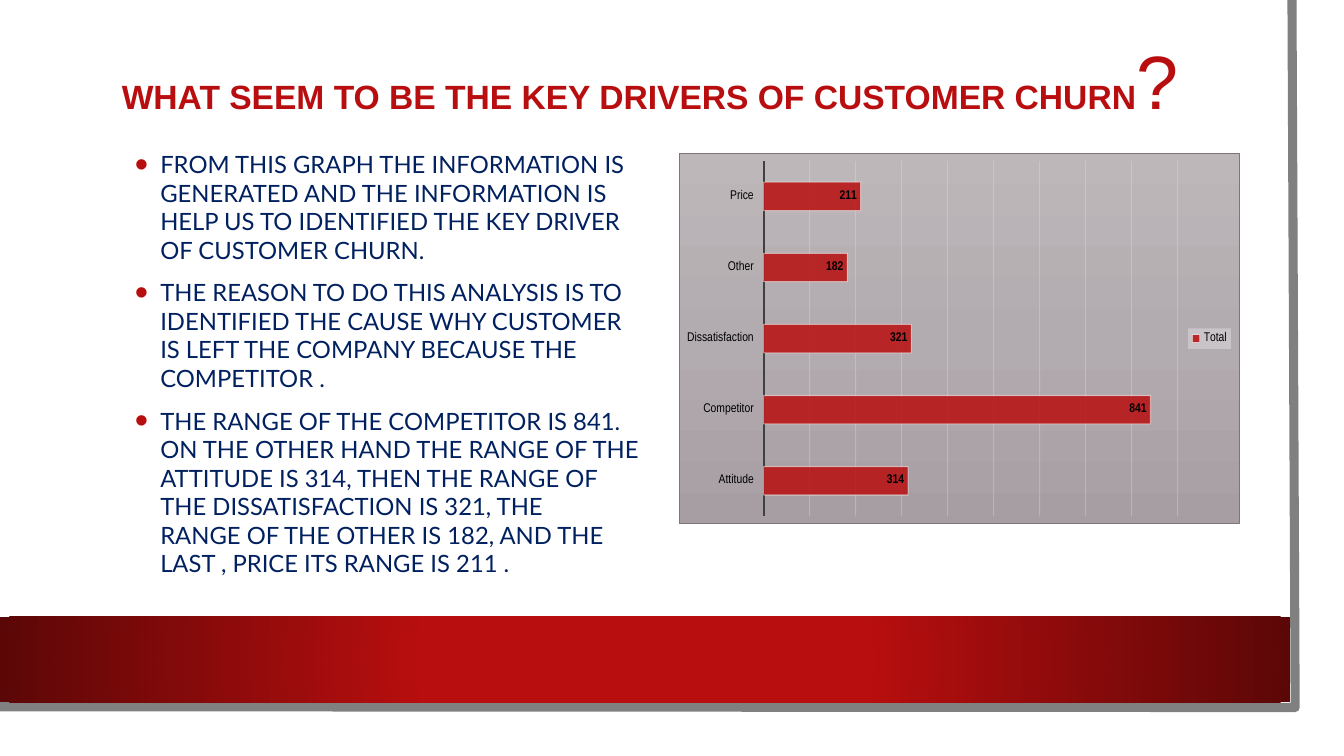
from lxml import etree
from pptx import Presentation
from pptx.chart.data import CategoryChartData
from pptx.dml.color import RGBColor
from pptx.enum.chart import XL_CHART_TYPE as ChartType
from pptx.enum.chart import XL_LABEL_POSITION as LabelPosition
from pptx.enum.chart import XL_LEGEND_POSITION as LegendPosition
from pptx.enum.chart import XL_TICK_LABEL_POSITION as TickLabels
from pptx.enum.chart import XL_TICK_MARK as TickMark
from pptx.enum.shapes import MSO_SHAPE as Preset
from pptx.enum.text import MSO_ANCHOR as Anchor
from pptx.oxml import parse_xml
from pptx.oxml.ns import qn
from pptx.util import Cm, Pt

COLORS = {
    "white": "FFFFFF", "red": "B80E0F", "dark_red": "5C0707", "edge": "808080",
    "navy": "002060", "black": "000000", "axis": "404040", "grid": "F2F2F2",
    "chart_top": "BDB7BA", "chart_middle": "B2ABAF", "chart_bottom": "A79EA3",
    "chart_border": "80737A",
}
TITLE = [("WHAT SEEM TO BE THE KEY DRIVERS OF CUSTOMER CHURN", 24, True), ("?", 54, False)]
POINTS = [
    ["FROM THIS GRAPH THE INFORMATION IS", "GENERATED AND THE INFORMATION IS",
     "HELP US TO IDENTIFIED THE KEY DRIVER", "OF CUSTOMER CHURN."],
    ["THE REASON TO DO THIS ANALYSIS IS TO", "IDENTIFIED THE CAUSE WHY CUSTOMER",
     "IS LEFT THE COMPANY BECAUSE THE", "COMPETITOR ."],
    ["THE RANGE OF THE COMPETITOR IS 841.", "ON THE OTHER HAND THE RANGE OF THE",
     "ATTITUDE IS 314, THEN THE RANGE OF", "THE DISSATISFACTION IS 321, THE",
     "RANGE OF THE OTHER IS 182, AND THE", "LAST , PRICE ITS RANGE IS 211 ."],
]
REASONS = {"Attitude": 314, "Competitor": 841, "Dissatisfaction": 321, "Other": 182, "Price": 211}
SERIES_NAME = "Total"

# left, top, width, height in centimetres
PAGE = (0, 0, 33.27, 18.47)
BAND = (0, 15.54, 32.51, 2.16)
TITLE_BOX = (2.82, 0.84, 27.84, 2.62)
BODY_BOX = (3.15, 3.35, 13.59, 11.63)
CHART_BOX = (17.12, 3.86, 14.12, 9.35)
EDGE = [(32.56, 0), (32.64, 17.83), (-0.08, 17.81)]
PLOT_SHARE = {"x": 0.15, "y": 0.02, "w": 0.74, "h": 0.96}

DRAWING = 'xmlns:a="http://schemas.openxmlformats.org/drawingml/2006/main"'
CHART = 'xmlns:c="http://schemas.openxmlformats.org/drawingml/2006/chart"'


def color(name):
    return RGBColor.from_string(COLORS[name])


def place(box):
    return [Cm(length) for length in box]


def gradient(stops, direction):
    marks = "".join(f'<a:gs pos="{share * 1000}"><a:srgbClr val="{COLORS[name]}"/></a:gs>'
                    for share, name in stops)
    return f'<a:gradFill {DRAWING} rotWithShape="1"><a:gsLst>{marks}</a:gsLst>{direction}</a:gradFill>'


def set_alpha(fill_parent, percent):
    """Make the first solid colour below the element partly transparent."""
    solid = next(fill_parent.iter(qn("a:srgbClr")))
    etree.SubElement(solid, qn("a:alpha")).set("val", str(percent * 1000))


def style_font(font, name, size, color_name, bold=False):
    font.name, font.size, font.bold = name, Pt(size), bold
    font.color.rgb = color(color_name)


def add_rectangle(slide, box):
    shape = slide.shapes.add_shape(Preset.RECTANGLE, *place(box))
    shape.shadow.inherit = False
    shape.line.fill.background()
    shape.fill.solid()
    shape.fill.fore_color.rgb = color("white")
    return shape


def add_frame(slide, box):
    frame = slide.shapes.add_textbox(*place(box)).text_frame
    frame.word_wrap = True
    frame.vertical_anchor = Anchor.MIDDLE
    return frame


def add_backdrop(slide):
    add_rectangle(slide, PAGE)
    corners = [(Cm(x), Cm(y)) for x, y in EDGE]
    builder = slide.shapes.build_freeform(*corners[0])
    builder.add_line_segments(corners[1:], close=False)
    edge = builder.convert_to_shape()
    edge.shadow.inherit = False
    edge.fill.background()
    edge.line.color.rgb = color("edge")
    edge.line.width = Pt(6.5)
    band = add_rectangle(slide, BAND)
    center = '<a:path path="circle"><a:fillToRect l="50000" t="50000" r="50000" b="50000"/></a:path>'
    solid = band.fill._xPr.find(qn("a:solidFill"))
    solid.getparent().replace(solid, parse_xml(gradient([(34, "red"), (100, "dark_red")], center)))


def add_title(slide):
    para = add_frame(slide, TITLE_BOX).paragraphs[0]
    para.line_spacing = 0.9
    for text, size, bold in TITLE:
        span = para.add_run()
        span.text = text
        style_font(span.font, "Arial", size, "red", bold)


def add_bullet(para):
    properties = para._p.get_or_add_pPr()
    properties.set("marL", str(Cm(0.64)))
    properties.set("indent", str(Cm(-0.64)))
    for xml in (f'<a:buClr {DRAWING}><a:srgbClr val="{COLORS["red"]}"/></a:buClr>',
                f'<a:buSzPct {DRAWING} val="160000"/>',
                f'<a:buFont {DRAWING} typeface="Arial"/>',
                f'<a:buChar {DRAWING} char="•"/>'):
        properties.append(parse_xml(xml))


def add_points(slide):
    frame = add_frame(slide, BODY_BOX)
    for index, lines in enumerate(POINTS):
        para = frame.add_paragraph() if index else frame.paragraphs[0]
        para.space_before = Pt(10)
        add_bullet(para)
        for number, line in enumerate(lines):
            if number:
                para.add_line_break()
            span = para.add_run()
            span.text = line
            style_font(span.font, "Lato", 17, "navy")


def style_axes(chart):
    categories, values = chart.category_axis, chart.value_axis
    categories.major_tick_mark = categories.minor_tick_mark = TickMark.NONE
    categories.tick_label_position = TickLabels.LOW
    categories.format.line.color.rgb = color("axis")
    categories.format.line.width = Pt(1.5)
    style_font(categories.tick_labels.font, "Arial Narrow", 9, "black")
    values.visible = False
    values.minimum_scale, values.maximum_scale, values.major_unit = 0, 900, 100
    values.has_major_gridlines = True
    grid = values.major_gridlines.format.line
    grid.color.rgb = color("grid")
    grid.width = Pt(0.75)
    set_alpha(values.major_gridlines._xAx.find(qn("c:majorGridlines")), 25)


def style_bars(plot):
    plot.gap_width, plot.overlap, plot.vary_by_categories = 150, 100, False
    bars = plot.series[0]
    bars.format.fill.solid()
    bars.format.fill.fore_color.rgb = color("red")
    bars.format.line.color.rgb = color("white")
    bars.format.line.width = Pt(0.75)
    properties = bars._element.find(qn("c:spPr"))
    set_alpha(properties.find(qn("a:solidFill")), 85)
    set_alpha(properties.find(qn("a:ln")), 50)
    labels = bars.data_labels
    labels.show_value = True
    labels.position = LabelPosition.INSIDE_END
    style_font(labels.font, "Arial Narrow", 9, "black", True)


def style_legend(chart):
    chart.has_legend = True
    legend = chart.legend
    legend.position, legend.include_in_layout = LegendPosition.RIGHT, False
    style_font(legend.font, "Arial Narrow", 9, "black")
    panel = parse_xml(f'<c:spPr {CHART} {DRAWING}><a:solidFill><a:srgbClr val="{COLORS["white"]}"/>'
                      '</a:solidFill></c:spPr>')
    set_alpha(panel, 30)
    legend._element.find(qn("c:txPr")).addprevious(panel)


def style_chart_area(chart):
    """Give the chart its gradient and border, and fix the place of the plot in it."""
    stops = [(0, "chart_top"), (50, "chart_middle"), (100, "chart_bottom")]
    fill = gradient(stops, '<a:lin ang="5400000" scaled="0"/>')
    border = (f'<a:ln w="{Pt(0.5)}"><a:solidFill><a:srgbClr val="{COLORS["chart_border"]}"/>'
              '</a:solidFill></a:ln>')
    root = chart._chartSpace
    root.find(qn("c:chart")).addnext(parse_xml(f"<c:spPr {CHART} {DRAWING}>{fill}{border}</c:spPr>"))
    area = next(root.iter(qn("c:plotArea")))
    for layout in area.findall(qn("c:layout")):
        area.remove(layout)
    shares = "".join(f'<c:{side} val="{share}"/>' for side, share in PLOT_SHARE.items())
    area.insert(0, parse_xml(
        f'<c:layout {CHART}><c:manualLayout><c:layoutTarget val="inner"/>'
        f'<c:xMode val="edge"/><c:yMode val="edge"/>{shares}</c:manualLayout></c:layout>'))


def add_reason_chart(slide):
    data = CategoryChartData()
    data.categories = list(REASONS)
    data.add_series(SERIES_NAME, list(REASONS.values()))
    chart = slide.shapes.add_chart(ChartType.BAR_STACKED, *place(CHART_BOX), data).chart
    chart.has_title = False
    style_font(chart.font, "Arial Narrow", 10, "black")
    style_axes(chart)
    style_bars(chart.plots[0])
    style_legend(chart)
    style_chart_area(chart)


def main():
    deck = Presentation()
    deck.slide_width, deck.slide_height = Cm(33.87), Cm(19.05)
    slide = deck.slides.add_slide(deck.slide_layouts[6])
    add_backdrop(slide)
    add_title(slide)
    add_points(slide)
    add_reason_chart(slide)
    deck.save("out.pptx")


if __name__ == "__main__":
    main()
